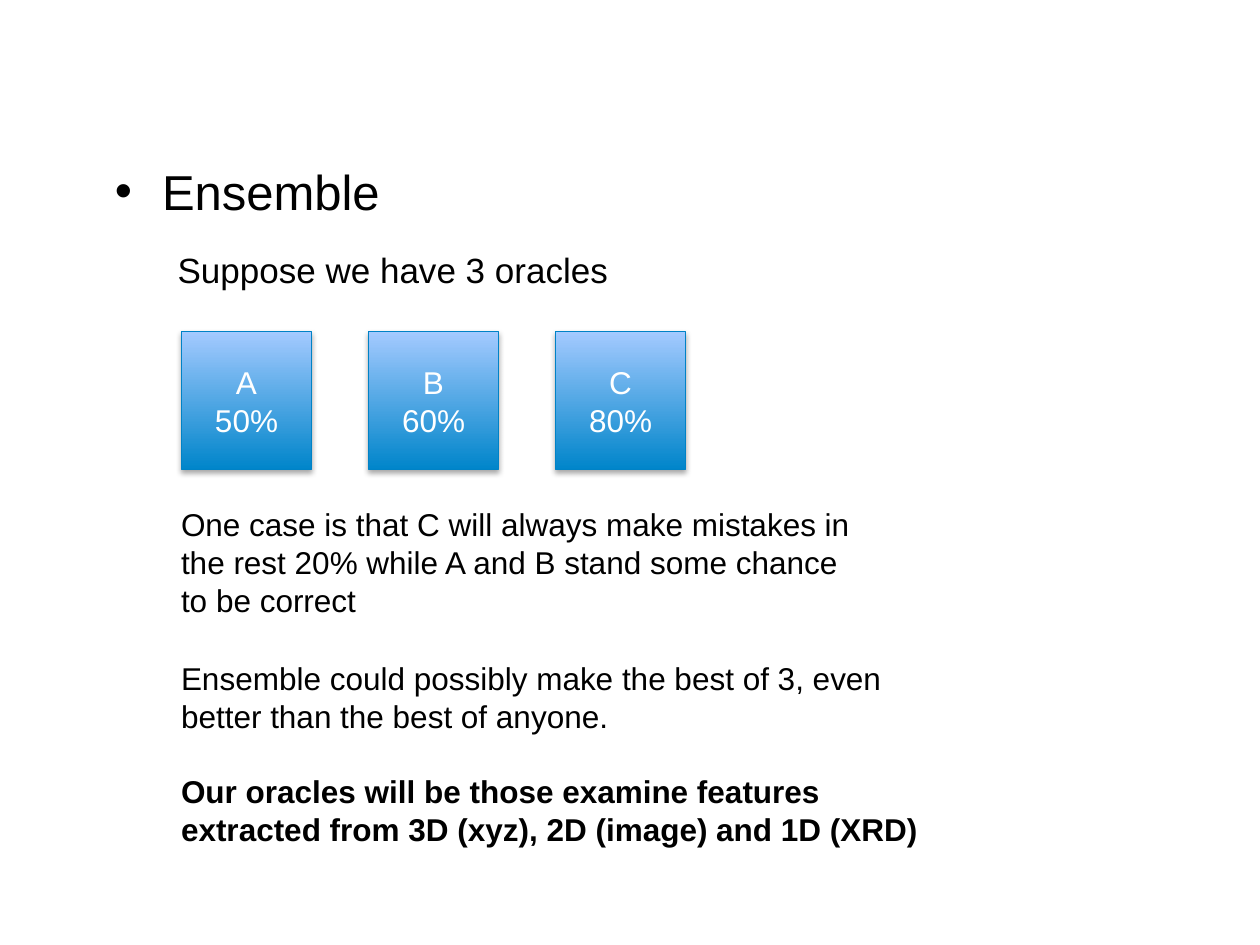
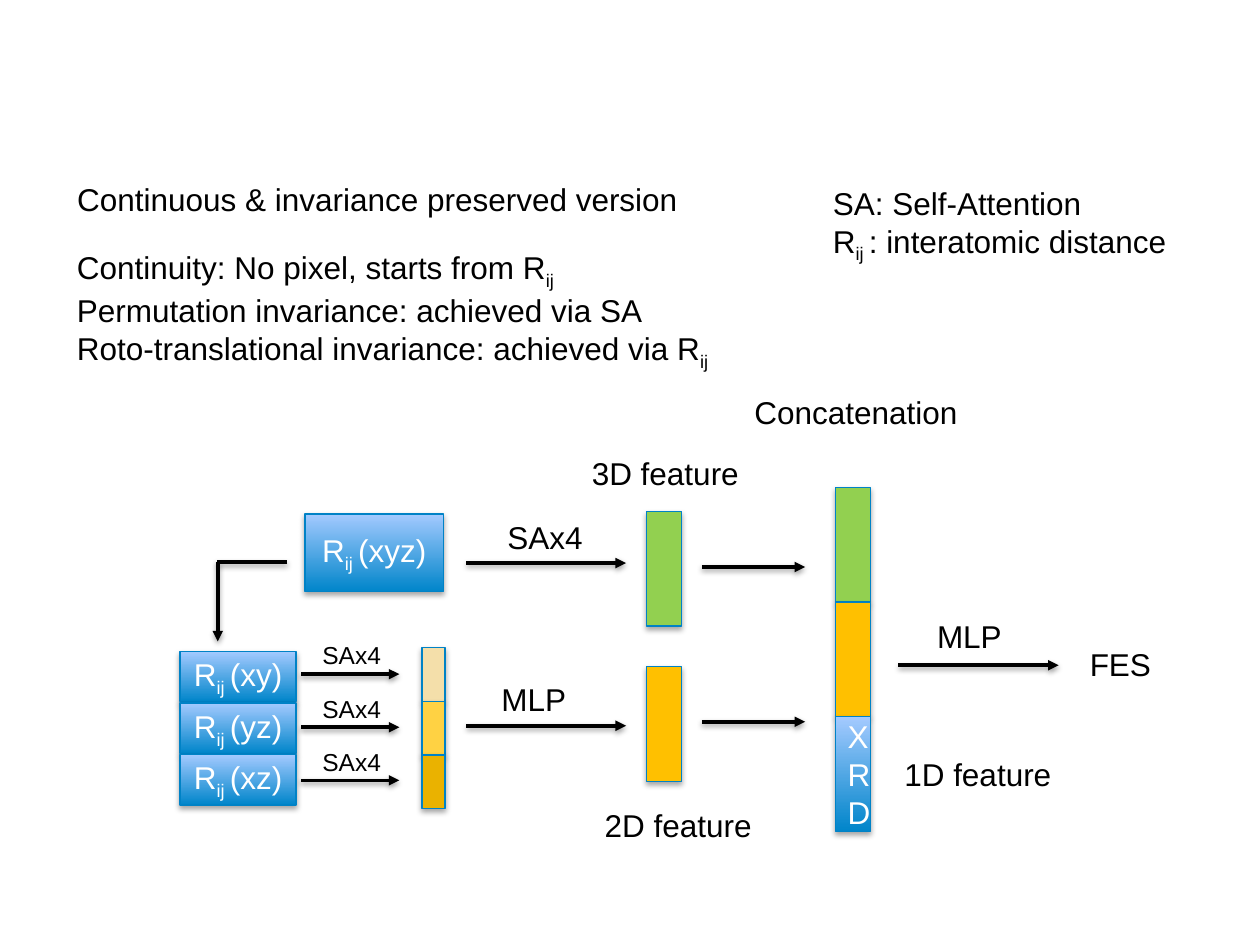
from dataclasses import dataclass
from typing import Any

from lxml import etree
from pptx import Presentation
from pptx import util as u
from pptx.dml.color import RGBColor
from pptx.enum import shapes, text
from pptx.oxml import ns

BLACK, WHITE, EDGE = "000000", "FFFFFF", "0082C6"
BLUE = ("0085CA", "A4CAFF")
GREEN, AMBER = ("92D050",), ("FFC000",)
PALE_TO_DARK = (("F4DFAA",), ("FFD243",), ("EAB200",))
FRAME = {"word_wrap": True, "auto_size": text.MSO_AUTO_SIZE.NONE}
TOP_LEFT = {"vertical_anchor": text.MSO_ANCHOR.TOP}
MIDDLE = {"vertical_anchor": text.MSO_ANCHOR.MIDDLE}
LEFT = {"alignment": text.PP_ALIGN.LEFT, "space_before": u.Pt(0)}
CENTRE = {"alignment": text.PP_ALIGN.CENTER}


@dataclass
class Area:
    left: float
    top: float
    width: float
    height: float = 1.02

    def lengths(self) -> list[u.Cm]:
        return [u.Cm(v) for v in (self.left, self.top, self.width, self.height)]


@dataclass
class Label:
    area: Area
    lines: tuple[str, ...]
    size: int = 18
    indent: float = 0


@dataclass
class Block:
    area: Area
    fill: tuple[str, ...] = BLUE
    lines: tuple[str, ...] = ()


@dataclass
class Stroke:
    x1: float
    y1: float
    x2: float
    y2: float
    arrow: bool = True


def colour(value: str) -> RGBColor:
    return RGBColor.from_string(value)


def apply(target: Any, values: dict[str, Any]) -> None:
    for name, value in values.items():
        setattr(target, name, value)


def write(frame: Any, lines: tuple[str, ...], size: int, ink: str,
          anchor: dict[str, Any], layout: dict[str, Any]) -> None:
    """Parts of a line between bars are subscripts."""
    apply(frame, FRAME | anchor)
    for number, line in enumerate(lines):
        para = frame.add_paragraph() if number else frame.paragraphs[0]
        apply(para, layout)
        for position, part in enumerate(line.split("|")):
            if not part:
                continue
            span = para.add_run()
            span.text = part
            apply(span.font, {"name": "Arial", "size": u.Pt(size)})
            span.font.color.rgb = colour(ink)
            if position % 2:
                span.font._rPr.set("baseline", "-25000")


def add_shadow(properties: Any, distance: int, opacity: int) -> None:
    effects = properties.find(ns.qn("a:effectLst"))
    if effects is None:
        effects = etree.SubElement(properties, ns.qn("a:effectLst"))
    outer = etree.SubElement(effects, ns.qn("a:outerShdw"), blurRad="40000",
                             dist=str(distance), dir="5400000", rotWithShape="0")
    tint = etree.SubElement(outer, ns.qn("a:srgbClr"), val=BLACK)
    etree.SubElement(tint, ns.qn("a:alpha"), val=str(opacity * 1000))


def add_label(page: Any, label: Label) -> Any:
    box = page.shapes.add_textbox(*label.area.lengths())
    write(box.text_frame, label.lines, label.size, BLACK, TOP_LEFT, LEFT)
    if label.indent:
        for para in box.text_frame.paragraphs:
            para._p.get_or_add_pPr().set("marL", str(u.Cm(label.indent)))
    return box


def fill_placeholder(holder: Any, label: Label) -> None:
    apply(holder, dict(zip(("left", "top", "width", "height"), label.area.lengths())))
    write(holder.text_frame, label.lines, label.size, BLACK, TOP_LEFT, LEFT)


def add_block(page: Any, block: Block) -> None:
    box = page.shapes.add_shape(shapes.MSO_SHAPE.RECTANGLE, *block.area.lengths())
    if len(block.fill) == 1:
        box.fill.solid()
        box.fill.fore_color.rgb = colour(block.fill[0])
    else:
        box.fill.gradient()
        box.fill.gradient_angle = 90
        for stop, value in zip(box.fill.gradient_stops, block.fill):
            stop.color.rgb = colour(value)
    box.line.color.rgb = colour(EDGE)
    box.line.width = u.Pt(0.75)
    box.shadow.inherit = False
    add_shadow(box._element.spPr, 23000, 35)
    if block.lines:
        write(box.text_frame, block.lines, 18, WHITE, MIDDLE, CENTRE)


def add_stroke(page: Any, stroke: Stroke) -> None:
    ends = [u.Cm(v) for v in (stroke.x1, stroke.y1, stroke.x2, stroke.y2)]
    line = page.shapes.add_connector(shapes.MSO_CONNECTOR.STRAIGHT, *ends)
    line.line.color.rgb = colour(BLACK)
    line.line.width = u.Pt(2)
    if stroke.arrow:
        etree.SubElement(line.line._get_or_add_ln(), ns.qn("a:tailEnd"), type="triangle")
    add_shadow(line._element.spPr, 20000, 38)


def build_ensemble(deck: Any) -> None:
    page = deck.slides.add_slide(deck.slide_layouts[1])
    title, body = page.placeholders
    title._element.getparent().remove(title._element)
    fill_placeholder(body, Label(Area(2.06, 3.12, 18.72, 1.45), ("Ensemble",), 28))
    add_label(page, Label(Area(2.06, 4.88, 12.7, 1.12),
                          ("Suppose we have 3 oracles",), 20, 1.27))
    oracles = (("A", "50%"), ("B", "60%"), ("C", "80%"))
    for column, oracle in enumerate(oracles):
        add_block(page, Block(Area(3.66 + 3.77 * column, 6.68, 2.62, 2.79), BLUE, oracle))
    add_label(page, Label(Area(3.4, 10.06, 14.15, 2.57), (
        "One case is that C will always make mistakes in the rest 20% "
        "while A and B stand some chance to be correct",)))
    conclusion = add_label(page, Label(Area(3.4, 13.16, 15.39, 4.11), (
        "Ensemble could possibly make the best of 3, even better than the best of anyone.",
        "Our oracles will be those examine features extracted from "
        "3D (xyz), 2D (image) and 1D (XRD)")))
    last = conclusion.text_frame.paragraphs[-1]
    last.space_before = u.Pt(21.5)
    last.runs[0].font.bold = True


def build_network(deck: Any) -> None:
    page = deck.slides.add_slide(deck.slide_layouts[5])
    fill_placeholder(page.shapes.title, Label(
        Area(1.3, 3.51, 14.2), ("Continuous & invariance preserved version",)))
    labels = (
        Label(Area(16.54, 3.58, 8.8, 1.8),
              ("SA: Self-Attention", "R|ij |: interatomic distance")),
        Label(Area(1.3, 4.88, 14.61, 3.33), (
            "Continuity: No pixel, starts from R|ij",
            "Permutation invariance: achieved via SA",
            "Roto-translational invariance: achieved via R|ij")),
        Label(Area(14.96, 7.8, 4.85), ("Concatenation",)),
        Label(Area(11.68, 9.02, 4.29), ("3D feature",)),
        Label(Area(11.94, 16.13, 4.29), ("2D feature",)),
        Label(Area(17.98, 15.09, 4.29), ("1D feature",)),
        Label(Area(9.98, 10.31, 3.43), ("SAx4",)),
        Label(Area(9.86, 13.59, 3.43), ("MLP",)),
        Label(Area(18.64, 12.32, 2.34), ("MLP",)),
        Label(Area(21.72, 12.88, 2.34), ("FES",)),
    )
    blocks = [
        Block(Area(6.15, 10.36, 2.79, 1.57), BLUE, ("R|ij |(xyz)",)),
        Block(Area(13.03, 10.31, 0.71, 2.31), GREEN),
        Block(Area(13.03, 13.44, 0.71, 2.31), AMBER),
    ]
    strokes = [
        Stroke(9.4, 11.35, 12.62, 11.35),
        Stroke(9.4, 14.63, 12.62, 14.63),
        Stroke(14.15, 11.43, 16.23, 11.43),
        Stroke(14.15, 14.55, 16.23, 14.55),
        Stroke(18.11, 13.41, 21.34, 13.41),
        Stroke(5.79, 11.33, 4.37, 11.33, arrow=False),
        Stroke(4.39, 11.33, 4.39, 12.93),
    ]
    concatenated = ((GREEN, ()), (AMBER, ()), (BLUE, ("XRD",)))
    for row, (fill, lines) in enumerate(concatenated):
        blocks.append(Block(Area(16.84, 9.83 + 2.31 * row, 0.71, 2.31), fill, lines))
    for row, (plane, fill) in enumerate(zip(("xy", "yz", "xz"), PALE_TO_DARK)):
        blocks.append(Block(Area(3.63, 13.13 + 1.04 * row, 2.34), BLUE, (f"R|ij |({plane})",)))
        blocks.append(Block(Area(8.51, 13.06 + 1.08 * row, 0.46, 1.08), fill))
        middle = 13.59 + 1.07 * row
        strokes.append(Stroke(6.07, middle, 8.05, middle))
        add_label(page, Label(Area(6.25, 12.78 + 1.08 * row, 2.08, 0.86), ("SAx4",), 14))
    for label in labels:
        add_label(page, label)
    for block in blocks:
        add_block(page, block)
    for stroke in strokes:
        add_stroke(page, stroke)


def main() -> None:
    deck = Presentation()
    apply(deck, {"slide_width": u.Cm(25.4), "slide_height": u.Cm(19.05)})
    build_ensemble(deck)
    build_network(deck)
    deck.save("out.pptx")


if __name__ == "__main__":
    main()
